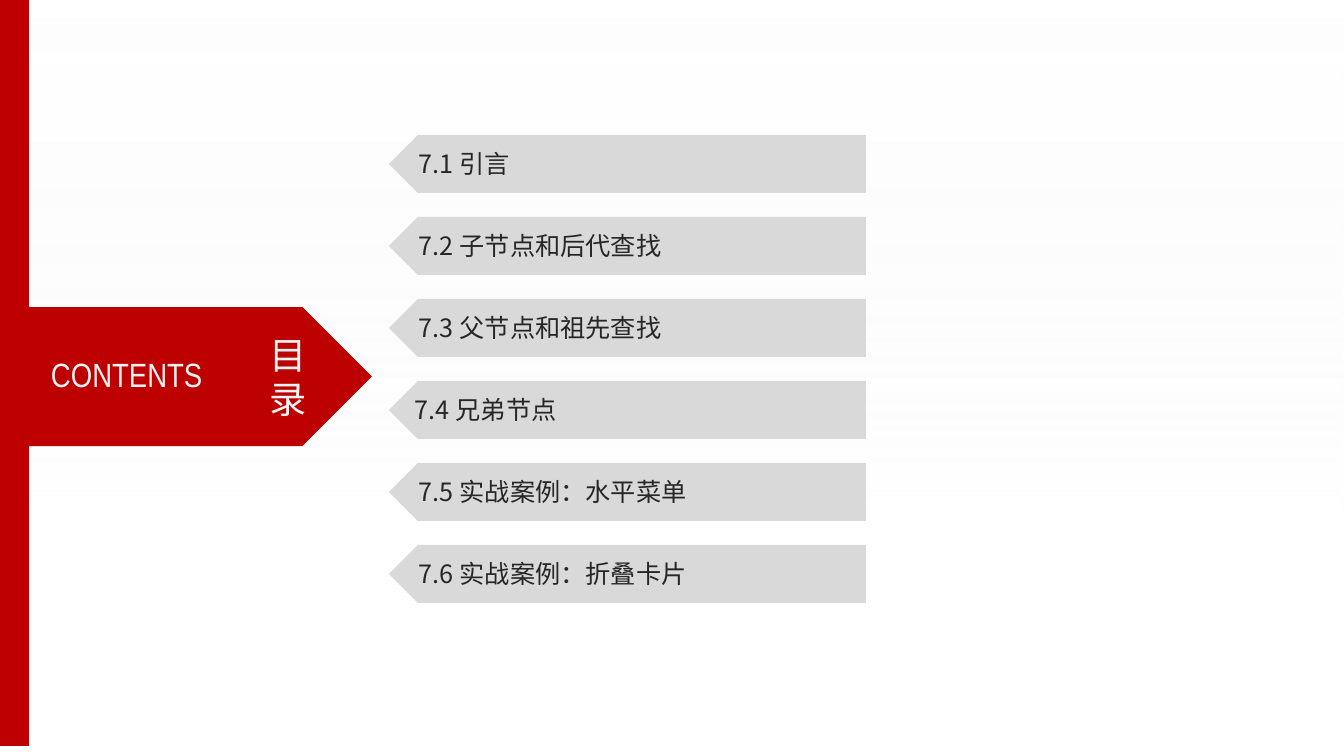
from lxml.etree import SubElement
from pptx import Presentation
from pptx.dml.color import RGBColor
from pptx.enum.shapes import MSO_SHAPE as Shape
from pptx.enum.text import MSO_ANCHOR as Anchor, PP_ALIGN as Align
from pptx.oxml.ns import qn
from pptx.util import Pt

EMU_PER_PX = 914400 / 100.8
WIDTH, HEIGHT = 1344, 756
COLORS = {
    "red": "BD0000",
    "bar": "D9D9D9",
    "ink": "262626",
    "light": "F2F2F2",
    "white": "FFFFFF",
}
CJK_FONT = "Noto Sans CJK SC"
TOPICS = [
    "7.1 引言",
    "7.2 子节点和后代查找",
    "7.3 父节点和祖先查找",
    "7.4 兄弟节点",
    "7.5 实战案例：水平菜单",
    "7.6 实战案例：折叠卡片",
]


def px(length):
    return round(length * EMU_PER_PX)


def add_block(slide, kind, box, color):
    shape = slide.shapes.add_shape(kind, *map(px, box))
    shape.shadow.inherit = False
    shape.line.fill.background()
    shape.fill.solid()
    shape.fill.fore_color.rgb = RGBColor.from_string(COLORS[color])
    return shape


def add_label(slide, box, text, size, color, font=CJK_FONT,
              align=Align.LEFT, anchor=Anchor.MIDDLE, inset=0):
    frame = slide.shapes.add_textbox(*map(px, box)).text_frame
    frame.word_wrap = True
    frame.vertical_anchor = anchor
    frame.margin_left = frame.margin_right = px(inset)
    frame.margin_top = frame.margin_bottom = px(inset // 2)
    paragraph = frame.paragraphs[0]
    paragraph.text = text
    paragraph.alignment = align
    paragraph.font.size = Pt(size)
    paragraph.font.name = font
    paragraph.font.color.rgb = RGBColor.from_string(COLORS[color])
    properties = paragraph._p.pPr.find(qn("a:defRPr"))
    SubElement(properties, qn("a:ea")).set("typeface", font)


def add_backdrop(slide, box):
    shape = add_block(slide, Shape.RECTANGLE, box, "white")
    shape.fill.gradient()
    shape.fill.gradient_angle = 270
    stops = [("white", 0, 55), ("light", 0.71, 0)]
    for stop, (color, position, opacity) in zip(shape.fill.gradient_stops, stops):
        stop.color.rgb = RGBColor.from_string(COLORS[color])
        stop.position = position
    tints = shape.element.spPr.find(qn("a:gradFill")).iter(qn("a:srgbClr"))
    for tint, (_, _, opacity) in zip(tints, stops):
        SubElement(tint, qn("a:alpha")).set("val", str(opacity * 1000))


def add_title_arrow(slide, box):
    left, top, _, height = box
    add_block(slide, Shape.PENTAGON, box, "red")
    add_label(slide, (left + 51, top + 47, 181, 40), "CONTENTS", 24, "light",
              font="Arial Narrow")
    add_label(slide, (left + 259, top + 20, 59, height - 40), "目录", 26.6, "light",
              align=Align.CENTER, anchor=Anchor.TOP, inset=10)


def add_topics(slide, box):
    left, top, width, height = box
    bar_height = 58
    pitch = (height - bar_height) / (len(TOPICS) - 1)
    for index, topic in enumerate(TOPICS):
        bar_top = top + index * pitch
        bar = add_block(slide, Shape.PENTAGON, (left, bar_top, width, bar_height), "bar")
        bar.element.spPr.find(qn("a:xfrm")).set("flipH", "1")
        indent = 26 if topic.startswith("7.4") else 30
        add_label(slide, (left + indent, bar_top + 13, 425, 31), topic, 18, "ink")


def main():
    presentation = Presentation()
    presentation.slide_width = px(WIDTH)
    presentation.slide_height = px(HEIGHT)
    slide = presentation.slides.add_slide(presentation.slide_layouts[6])
    add_backdrop(slide, (0, 0, WIDTH, HEIGHT))
    add_topics(slide, (389, 135, 477, 468))
    add_title_arrow(slide, (0, 307, 372, 139))
    add_block(slide, Shape.RECTANGLE, (0, 0, 29, 746), "red")
    presentation.save("out.pptx")


if __name__ == "__main__":
    main()
